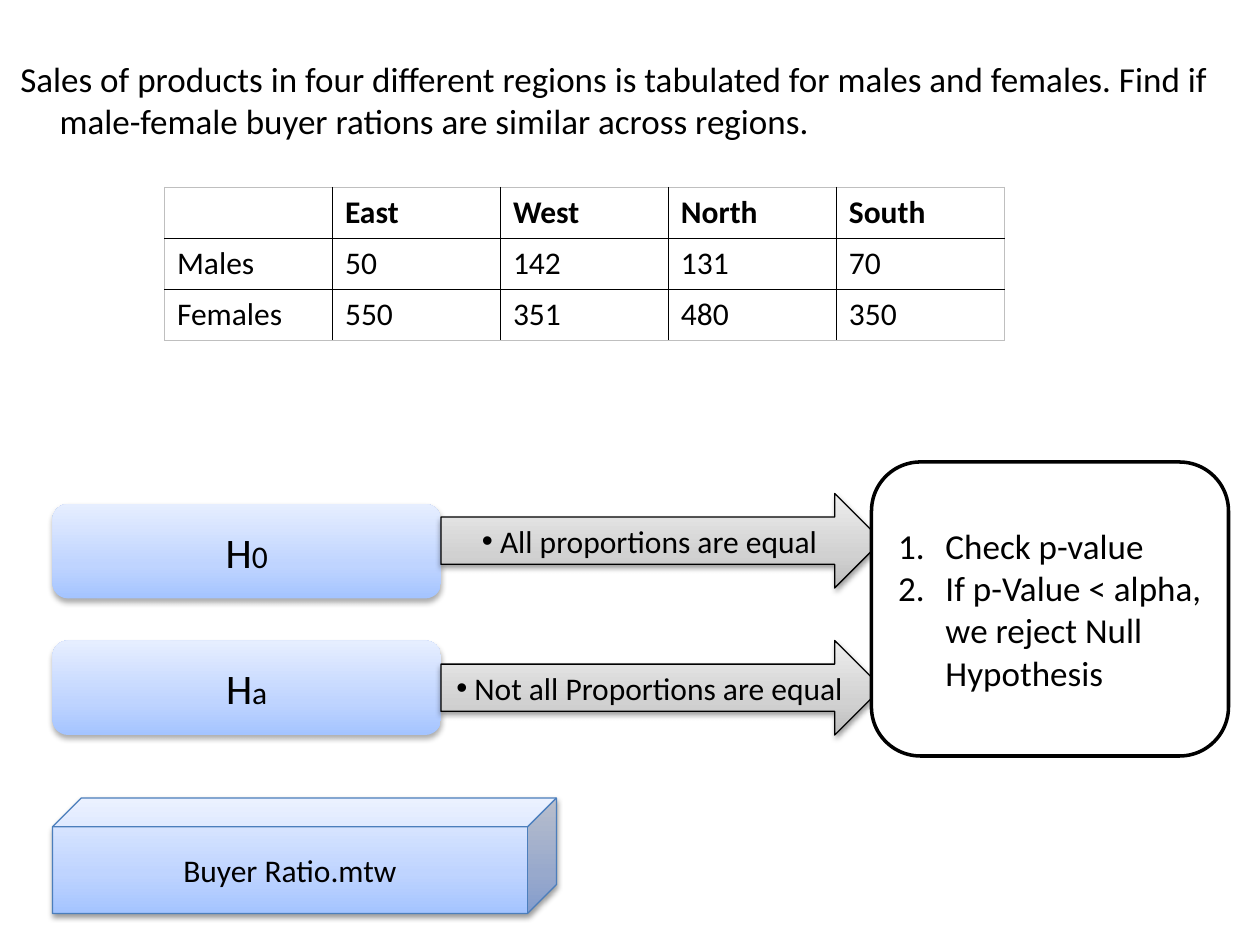
from lxml import etree
from pptx import Presentation
from pptx.dml.color import RGBColor
from pptx.enum.shapes import MSO_SHAPE
from pptx.enum.text import MSO_ANCHOR, PP_ALIGN
from pptx.oxml import parse_xml
from pptx.oxml.ns import nsdecls, qn
from pptx.util import Pt

COLORS = {
    "ink": "000000", "paper": "FFFFFF", "edge": "BFBFBF", "cube": "4B7EBC",
    "blue0": "A4C4FF", "blue35": "BFD4FF", "blue100": "E6EEFF",
    "gray0": "BDBDBD", "gray35": "D1D1D1", "gray100": "EEEEEE",
}
SOFT = (32, 3.5, 2.2)
FIRM = (38, 3.15, 1.57)


class Deck:
    font = "Calibri"

    def __init__(self, width, height):
        self.prs = Presentation()
        self.prs.slide_width, self.prs.slide_height = Pt(width), Pt(height)
        self.slide = self.prs.slides.add_slide(self.prs.slide_layouts[6])

    def color(self, name):
        return RGBColor.from_string(COLORS[name])

    def fill_paragraph(self, paragraph, runs, align=PP_ALIGN.LEFT, bold=False, bullet=None, indent=0):
        paragraph.alignment = align
        for text, size in runs:
            run = paragraph.add_run()
            run.text = text
            run.font.name, run.font.size, run.font.bold = self.font, Pt(size), bold
            run.font.color.rgb = self.color("ink")
        props = paragraph._p.get_or_add_pPr()
        props.set("marL", str(Pt(indent)))
        props.set("indent", str(-Pt(indent)))
        if bullet:
            etree.SubElement(props, qn("a:buFont")).set("typeface", "Arial" if bullet == "•" else "+mj-lt")
            kind, key = ("a:buChar", "char") if bullet == "•" else ("a:buAutoNum", "type")
            etree.SubElement(props, qn(kind)).set(key, bullet)

    def text(self, box, runs, indent):
        frame = self.slide.shapes.add_textbox(*map(Pt, box)).text_frame
        frame.word_wrap = True
        self.fill_paragraph(frame.paragraphs[0], runs, indent=indent)

    def gradient(self, shape, tone):
        stops = "".join(
            f'<a:gs pos="{pos * 1000}"><a:srgbClr val="{COLORS[tone + str(pos)]}"/></a:gs>'
            for pos in (0, 35, 100))
        shape._element.spPr.append(parse_xml(
            f'<a:gradFill {nsdecls("a")} rotWithShape="1"><a:gsLst>{stops}</a:gsLst>'
            '<a:lin ang="16200000" scaled="0"/></a:gradFill>'))

    def shadow(self, shape, alpha, blur, distance):
        effects = shape._element.spPr.find(qn("a:effectLst"))
        effects.append(parse_xml(
            f'<a:outerShdw {nsdecls("a")} blurRad="{Pt(blur)}" dist="{Pt(distance)}" dir="5400000" '
            f'rotWithShape="0"><a:srgbClr val="{COLORS["ink"]}"><a:alpha val="{alpha * 1000}"/>'
            '</a:srgbClr></a:outerShdw>'))

    def shape(self, kind, box, paragraphs, tone=None, line=None, width=0.75, shadow=None, **style):
        shape = self.slide.shapes.add_shape(kind, *map(Pt, box))
        if tone:
            self.gradient(shape, tone)
        else:
            shape.fill.solid()
            shape.fill.fore_color.rgb = self.color("paper")
        if line:
            shape.line.color.rgb = self.color(line)
            shape.line.width = Pt(width)
        else:
            shape.line.fill.background()
        shape.shadow.inherit = False
        if shadow:
            self.shadow(shape, *shadow)
        frame = shape.text_frame
        frame.word_wrap = True
        frame.vertical_anchor = MSO_ANCHOR.MIDDLE
        for i, runs in enumerate(paragraphs):
            paragraph = frame.add_paragraph() if i else frame.paragraphs[0]
            self.fill_paragraph(paragraph, runs, **style)

    def border(self, side, outer):
        name, width = ("edge", 0.5) if outer else ("ink", 1)
        return parse_xml(
            f'<a:{side} {nsdecls("a")} w="{Pt(width)}"><a:solidFill>'
            f'<a:srgbClr val="{COLORS[name]}"/></a:solidFill></a:{side}>')

    def table(self, box, rows, size):
        count, span = len(rows), len(rows[0])
        table = self.slide.shapes.add_table(count, span, *map(Pt, box)).table
        table.first_row = table.horz_banding = False
        for column in table.columns:
            column.width = Pt(box[2] / span)
        for row in table.rows:
            row.height = Pt(box[3] / count)
        for r, values in enumerate(rows):
            for c, value in enumerate(values):
                cell = table.cell(r, c)
                cell.fill.background()
                if value:
                    self.fill_paragraph(cell.text_frame.paragraphs[0], [(value, size)], bold=r == 0)
                sides = (("lnL", c == 0), ("lnR", c == span - 1),
                         ("lnT", r == 0), ("lnB", r == count - 1))
                for i, (side, outer) in enumerate(sides):
                    cell._tc.get_or_add_tcPr().insert(i, self.border(side, outer))


deck = Deck(720, 540)
deck.text((4.5, 29.5, 715.5, 58), [(
    "Sales of products in four different regions is tabulated for males and females. "
    "Find if male-female buyer rations are similar across regions.", 20)], 22.5)
deck.table((94, 107, 480, 87.6), [
    ["", "East", "West", "North", "South"],
    ["Males", "50", "142", "131", "70"],
    ["Females", "550", "351", "480", "350"]], 18)

hypotheses = [("0", 288, "All proportions are equal", 282),
              ("a", 366, "Not all Proportions are equal", 366)]
for mark, top, _, _ in hypotheses:
    deck.shape(MSO_SHAPE.ROUNDED_RECTANGLE, (30, top, 222, 54), [[("H", 24), (mark, 18)]],
               tone="blue", shadow=SOFT, align=PP_ALIGN.CENTER)
for _, _, claim, top in hypotheses:
    deck.shape(MSO_SHAPE.RIGHT_ARROW, (252, top, 252, 54), [[(" " + claim, 18)]],
               tone="gray", line="ink", shadow=FIRM, align=PP_ALIGN.CENTER, bullet="•")

deck.shape(MSO_SHAPE.ROUNDED_RECTANGLE, (498, 264, 204, 168),
           [[("Check p-value", 20)], [("If p-Value < alpha, we reject Null Hypothesis", 20)]],
           line="ink", width=2, bullet="arabicPeriod", indent=27)
deck.shape(MSO_SHAPE.CUBE, (30, 456, 288, 66), [[("Buyer Ratio.mtw", 18)]],
           tone="blue", line="cube", shadow=FIRM, align=PP_ALIGN.CENTER)
deck.prs.save("out.pptx")
